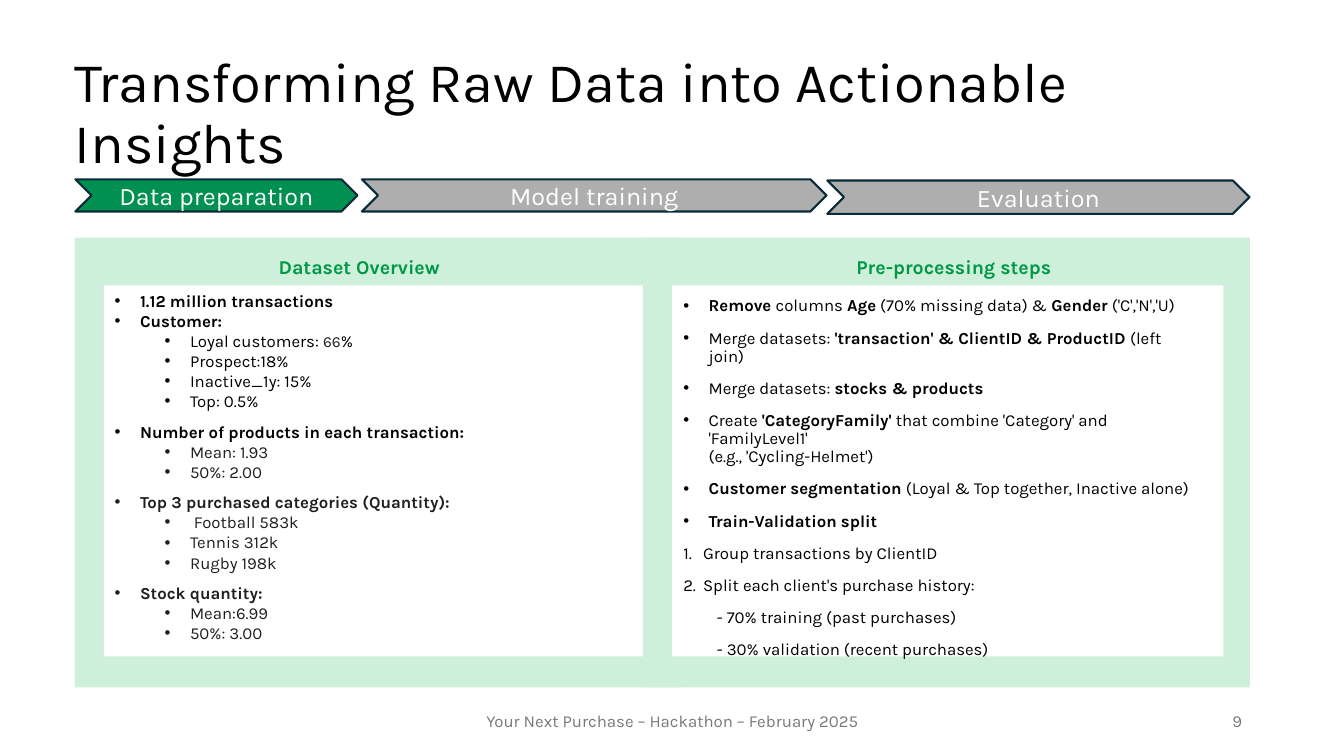
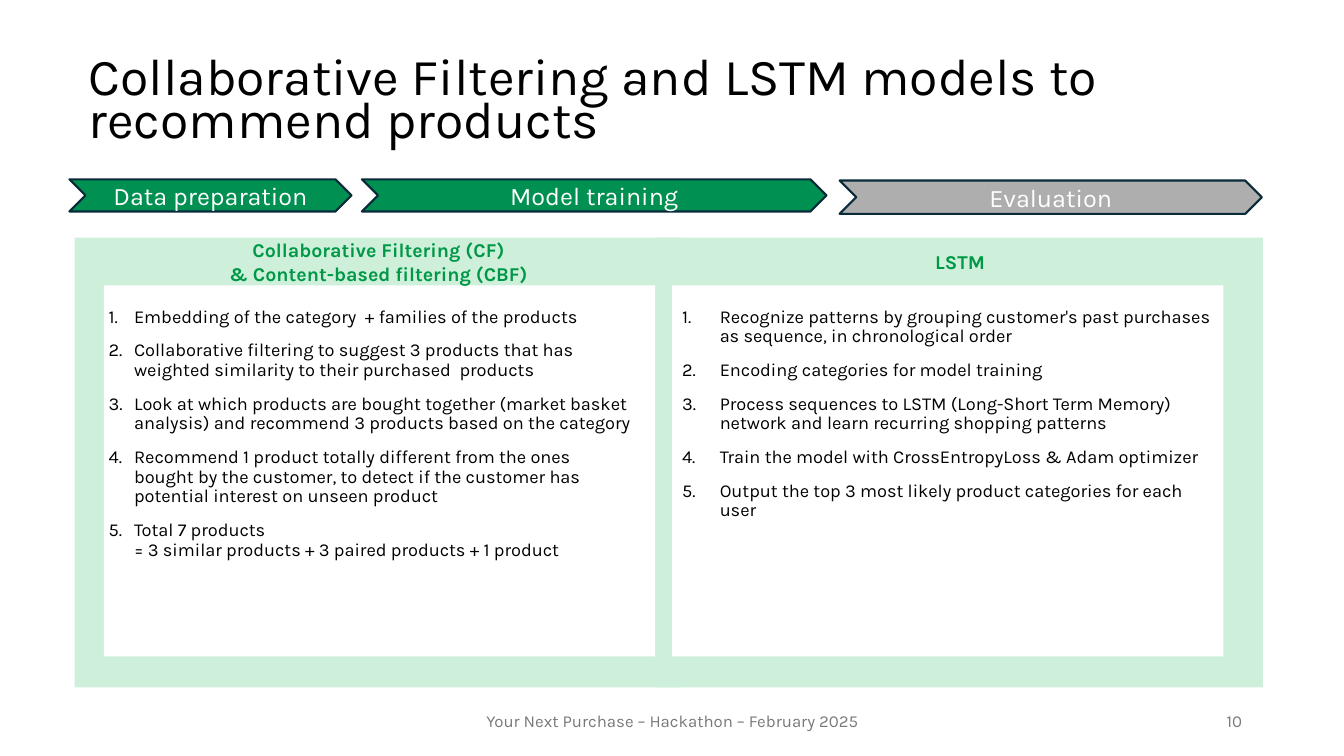
import pptx
import pptx.dml.color
import pptx.enum.shapes
import pptx.enum.text
import pptx.oxml.ns
import pptx.util
from lxml import etree
from pptx.util import Cm

FONT = "Karla"
BLACK, INK, WHITE, MUTED = "000000", "1F1F1F", "FFFFFF", "797979"
GREEN, HEADING, MINT, GRAY, NAVY = "009051", "009846", "CEF0DB", "AEAEAE", "092A39"
SHAPE = pptx.enum.shapes.MSO_SHAPE
ALIGN = pptx.enum.text.PP_ALIGN
ANCHOR = pptx.enum.text.MSO_ANCHOR
FOOTER = "Your Next Purchase – Hackathon – February 2025"


def rgb(color):
    return pptx.dml.color.RGBColor.from_string(color)


def add_marker(p, marker, left, hang):
    """Indent a paragraph; marker is a bullet character, "1." for numbers, or None."""
    pPr = p._p.get_or_add_pPr()
    pPr.set("marL", str(Cm(left)))
    pPr.set("indent", str(-Cm(hang)))
    if marker == "1.":
        etree.SubElement(pPr, pptx.oxml.ns.qn("a:buAutoNum"), type="arabicPeriod")
    elif marker:
        etree.SubElement(pPr, pptx.oxml.ns.qn("a:buFont"), typeface="Arial")
        etree.SubElement(pPr, pptx.oxml.ns.qn("a:buChar"), char=marker)


def write(tf, text, size=12, color=BLACK, bold=False, align=ALIGN.LEFT,
          spacing=None, before=0, marker=None, left=0, hang=0, level=0):
    """Add a paragraph. ** toggles bold, || toggles small ink text, \\n breaks the line."""
    first = not tf.paragraphs[0].runs
    p = tf.paragraphs[0] if first else tf.add_paragraph()
    p.level = level
    if marker or left:
        add_marker(p, marker, left, hang)
    p.alignment = align
    p.space_before = pptx.util.Pt(0 if first else before)
    if spacing:
        p.line_spacing = spacing
    for i, part in enumerate(text.split("**")):
        for j, piece in enumerate(part.split("||")):
            small = j % 2 == 1
            for k, line in enumerate(piece.split("\n")):
                if k:
                    p.add_line_break()
                if not line:
                    continue
                r = p.add_run()
                r.text = line
                r.font.name = FONT
                r.font.size = pptx.util.Pt(size - 1 if small else size)
                r.font.color.rgb = rgb(INK if small else color)
                r.font.bold = bold or i % 2 == 1


class Deck:
    """Holds the presentation, its shared style and the current slide."""

    def __init__(self):
        self.prs = pptx.Presentation()
        self.prs.slide_width, self.prs.slide_height = Cm(33.87), Cm(19.05)
        self.s = None

    def slide(self, number):
        self.s = self.prs.slides.add_slide(self.prs.slide_layouts[5])
        self.text([FOOTER], 11.23, 17.65, 11.43, 1.02, anchor=ANCHOR.MIDDLE,
                  color=MUTED, align=ALIGN.CENTER)
        self.text([str(number)], 23.93, 17.65, 7.62, 1.02, anchor=ANCHOR.MIDDLE,
                  color=MUTED, align=ALIGN.RIGHT)

    def title(self, text, x, y, w, h, size, spacing):
        sp = self.s.shapes.title
        sp.left, sp.top, sp.width, sp.height = Cm(x), Cm(y), Cm(w), Cm(h)
        tf = sp.text_frame
        tf.auto_size = pptx.enum.text.MSO_AUTO_SIZE.NONE
        tf.vertical_anchor = ANCHOR.MIDDLE
        write(tf, text, size=size, spacing=spacing)

    def shape(self, kind, x, y, w, h, fill, line=None):
        sp = self.s.shapes.add_shape(kind, Cm(x), Cm(y), Cm(w), Cm(h))
        sp.shadow.inherit = False
        sp.fill.solid()
        sp.fill.fore_color.rgb = rgb(fill)
        if line:
            sp.line.color.rgb = rgb(line)
            sp.line.width = pptx.util.Pt(1.5)
        else:
            sp.line.fill.background()
        return sp

    def text(self, items, x, y, w, h, anchor=ANCHOR.TOP, **fmt):
        """Add a text box; an item is a text or a (text, own format) pair."""
        tf = self.s.shapes.add_textbox(Cm(x), Cm(y), Cm(w), Cm(h)).text_frame
        tf.word_wrap = True
        tf.vertical_anchor = anchor
        for item in items:
            text, own = (item, {}) if isinstance(item, str) else item
            write(tf, text, **{**fmt, **own})

    def heading(self, lines, x, y, w, h):
        self.text(lines, x, y, w, h, size=14, color=HEADING, bold=True, align=ALIGN.CENTER)

    def panels(self, right):
        """Add two mint panels, the second starting at right, each with a white area."""
        for x, inner in ((1.88, 2.62), (right, 16.94)):
            self.shape(SHAPE.RECTANGLE, x, 5.99, 15.29, 11.33, MINT)
            self.shape(SHAPE.RECTANGLE, inner, 7.19, 13.89, 9.35, WHITE)

    def stages(self, done, first, last):
        """Add the process chevrons, the first `done` of them in green."""
        chevrons = (("Data preparation", first, 4.52, 7.11, 0.81),
                    ("Model training", 9.12, 4.52, 11.71, 0.81),
                    ("Evaluation", last, 4.55, 10.64, 0.84))
        for i, (label, *box) in enumerate(chevrons):
            sp = self.shape(SHAPE.CHEVRON, *box, GREEN if i < done else GRAY, NAVY)
            sp.text_frame.vertical_anchor = ANCHOR.MIDDLE
            write(sp.text_frame, label, size=18, color=WHITE, align=ALIGN.CENTER)


BULLET = dict(marker="•", left=0.64, hang=0.64)
NUMBER = dict(marker="1.", left=0.5, hang=0.5)
DASH = dict(marker=None, left=0.85, hang=0)
LOOSE = dict(spacing=0.9, before=10)

DATASET = (
    ("1.12 million transactions", BLACK, None, BLACK, ()),
    ("Customer:", BLACK, None, BLACK,
     ("Loyal customers: ||66||%", "Prospect:18%", "Inactive_1y: 15%", "Top: 0.5%")),
    ("Number of products in each transaction:", BLACK, 1.5, INK,
     ("Mean: 1.93", "50%: 2.00")),
    ("Top 3 purchased categories (Quantity):", INK, 1.5, INK,
     (" Football 583k", "Tennis 312k", "Rugby 198k")),
    ("Stock quantity:", INK, 1.5, INK, ("Mean:6.99", "50%: 3.00")),
)

STEPS = (
    "**Remove **columns **Age** (70% missing data) & **Gender** ('C','N','U)",
    "Merge datasets: **'transaction' & ClientID & ProductID** (left join)",
    "Merge datasets: **stocks & products**",
    "Create **'CategoryFamily'** that combine 'Category' and 'FamilyLevel1' \n"
    "(e.g., 'Cycling-Helmet')",
    "**Customer segmentation** (Loyal & Top together, Inactive alone)",
    "**Train-Validation split**",
    ("Group transactions by ClientID", NUMBER),
    ("Split each client's purchase history:", NUMBER),
    ("- 70% training (past purchases)", DASH),
    ("- 30% validation (recent purchases)", DASH),
)

FILTERING = (
    "Embedding of the category  + families of the products",
    "Collaborative filtering to suggest 3 products that has weighted similarity "
    "to their purchased  products",
    "Look at which products are bought together (market basket analysis) and "
    "recommend 3 products based on the category",
    "Recommend 1 product totally different from the ones bought by the customer, "
    "to detect if the customer has potential interest on unseen product",
    "Total 7 products \n= 3 similar products + 3 paired products + 1 product",
)

LSTM = (
    "Recognize patterns by grouping customer's past purchases as sequence, "
    "in chronological order",
    "Encoding categories for model training",
    "Process sequences to LSTM (Long-Short Term Memory) network and learn "
    "recurring shopping patterns",
    "Train the model with CrossEntropyLoss & Adam optimizer",
    "Output the top 3 most likely product categories for each user",
)


def dataset_items():
    items = []
    for head, head_color, spacing, color, details in DATASET:
        items.append((head, dict(BULLET, bold=True, color=head_color, spacing=spacing)))
        items += [(detail, dict(BULLET, left=1.9, level=1, color=color)) for detail in details]
    return items


def data_slide(deck):
    deck.slide(9)
    deck.title("Transforming Raw Data into Actionable Insights",
               1.63, 1.04, 29.26, 3.71, size=40, spacing=0.9)
    deck.panels(right=16.21)
    deck.stages(done=1, first=1.9, last=20.85)
    deck.heading(["Dataset Overview"], 4.9, 6.3, 8.31, 0.86)
    deck.heading(["Pre-processing steps"], 18.31, 6.3, 11.46, 0.86)
    deck.text(dataset_items(), 2.64, 7.19, 11.63, 8.66)
    deck.text(STEPS, 16.97, 7.37, 13.28, 9.02, **BULLET, **LOOSE)


def model_slide(deck):
    deck.slide(10)
    deck.title("Collaborative Filtering and LSTM models to recommend products",
               1.98, 1.22, 29.26, 2.79, size=37, spacing=0.7)
    deck.panels(right=16.54)
    deck.stages(done=2, first=1.75, last=21.16)
    deck.heading(["Collaborative Filtering (CF)", "& Content-based filtering (CBF)"],
                 3.81, 5.87, 11.46, 1.45)
    deck.heading(["LSTM"], 20.04, 6.17, 8.31, 0.86)
    deck.text(FILTERING, 2.49, 7.62, 13.67, 8.38, size=13,
              marker="1.", left=0.64, hang=0.64, **LOOSE)
    deck.text(LSTM, 16.94, 7.62, 13.87, 8.84, size=13,
              marker="1.", left=0.95, hang=0.95, **LOOSE)


def main():
    deck = Deck()
    data_slide(deck)
    model_slide(deck)
    deck.prs.save("out.pptx")


if __name__ == "__main__":
    main()
